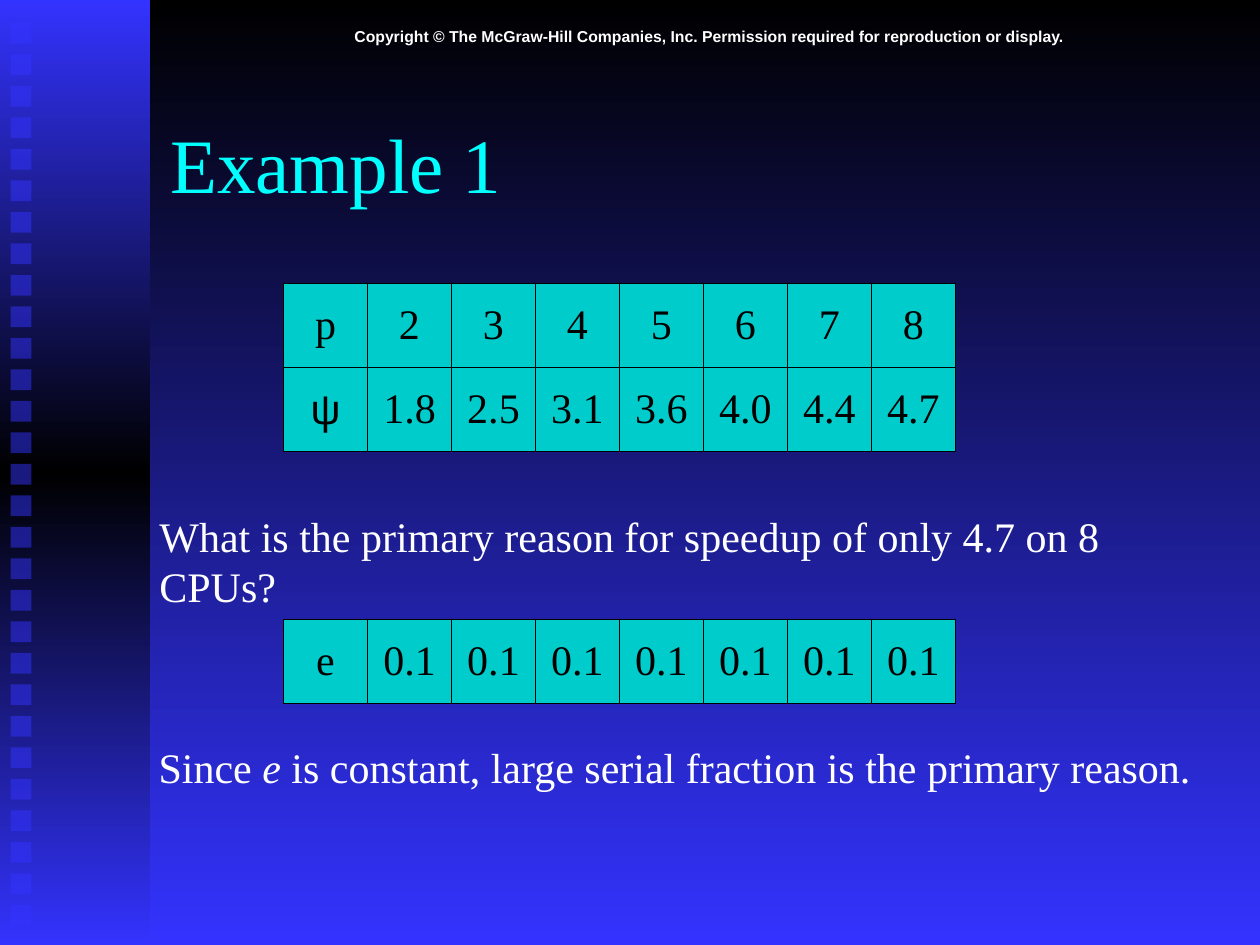
"""Build the "Example 1" slide on speedup and the serial fraction."""
from copy import deepcopy
from dataclasses import dataclass

from lxml.etree import SubElement
from pptx import Presentation
from pptx.dml.color import RGBColor
from pptx.enum.shapes import MSO_SHAPE
from pptx.enum.text import MSO_ANCHOR, MSO_AUTO_SIZE, PP_ALIGN
from pptx.oxml.ns import qn
from pptx.util import Pt


@dataclass(frozen=True)
class Theme:
    black: str = "000000"
    blue: str = "3333FF"
    white: str = "FFFFFF"
    cyan: str = "00FFFF"
    teal: str = "00CCCC"
    serif: str = "Times New Roman"
    sans: str = "Arial"
    title: float = 44
    body: float = 24
    small: float = 9
    border: float = 0.75


@dataclass(frozen=True)
class Run:
    text: str
    italic: bool = False


@dataclass(frozen=True)
class Label:
    left: float
    top: float
    width: float
    height: float
    runs: tuple[Run, ...]
    font: str
    size: float
    bold: bool = False
    align: PP_ALIGN = PP_ALIGN.LEFT
    wrap: bool = False


@dataclass(frozen=True)
class Grid:
    top: float
    rows: tuple[tuple[str, ...], ...]
    left: float = 162
    cell: float = 48


T = Theme()
SQUARES, SQUARE_LEFT, SQUARE_TOP, SQUARE_STEP, SQUARE_SIZE = 29, 6, 13, 18, 12
GRIDS = (
    Grid(162, (("p", "2", "3", "4", "5", "6", "7", "8"),
               ("ψ", "1.8", "2.5", "3.1", "3.6", "4.0", "4.4", "4.7"))),
    Grid(354, (("e",) + ("0.1",) * 7,)),
)
LABELS = (
    Label(90, 12, 630, 18,
          (Run("Copyright © The McGraw-Hill Companies, Inc. Permission required "
               "for reproduction or display."),),
          T.sans, T.small, bold=True, align=PP_ALIGN.CENTER, wrap=True),
    Label(84, 288, 624, 36,
          (Run("What is the primary reason for speedup of only 4.7 on 8 CPUs?"),),
          T.serif, T.body),
    Label(83.5, 420, 605, 36,
          (Run("Since "), Run("e", italic=True),
           Run(" is constant, large serial fraction is the primary reason.")),
          T.serif, T.body),
)


def apply(obj, values: dict) -> None:
    """Set each named attribute on the object."""
    for name, value in values.items():
        setattr(obj, name, value)


def add_run(p, text: str, color: str, **fmt) -> None:
    """Append a formatted run to a paragraph."""
    r = p.add_run()
    r.text = text
    apply(r.font, fmt)
    r.font.color.rgb = RGBColor.from_string(color)


def set_gradient(fill, root, colors: tuple[str, ...]) -> None:
    """Fill with evenly spaced colours running from top to bottom."""
    fill.gradient()
    fill.gradient_angle = 270
    stops = root.find(".//" + qn("a:gsLst"))
    for _ in colors[2:]:
        stops.append(deepcopy(stops[0]))
    for i, (stop, color) in enumerate(zip(fill.gradient_stops, colors)):
        stop.color.rgb = RGBColor.from_string(color)
        stop.position = i / (len(colors) - 1)


def add_rect(s, left: float, top: float, width: float, height: float):
    """Add a rectangle with neither outline nor shadow."""
    sp = s.shapes.add_shape(MSO_SHAPE.RECTANGLE, Pt(left), Pt(top), Pt(width), Pt(height))
    sp.shadow.inherit = False
    sp.line.fill.background()
    return sp


def add_sidebar(s) -> None:
    """Draw the gradient band and its column of translucent squares."""
    band = add_rect(s, 0, 0, 85.7, 540)
    set_gradient(band.fill, band._element, (T.blue, T.black, T.blue))
    for i in range(SQUARES):
        sp = add_rect(s, SQUARE_LEFT, SQUARE_TOP + i * SQUARE_STEP, SQUARE_SIZE, SQUARE_SIZE)
        sp.fill.solid()
        sp.fill.fore_color.rgb = RGBColor.from_string(T.blue)
        color = sp._element.spPr.find(".//" + qn("a:srgbClr"))
        SubElement(color, qn("a:alpha"), val="50000")


def add_label(s, label: Label) -> None:
    """Add a text box."""
    box = s.shapes.add_textbox(Pt(label.left), Pt(label.top), Pt(label.width), Pt(label.height))
    tf = box.text_frame
    apply(tf, {"word_wrap": label.wrap, "auto_size": MSO_AUTO_SIZE.SHAPE_TO_FIT_TEXT})
    p = tf.paragraphs[0]
    p.alignment = label.align
    for run in label.runs:
        add_run(p, run.text, T.white, name=label.font, size=Pt(label.size),
                bold=label.bold, italic=run.italic)


def format_cell(cell, text: str) -> None:
    """Give a cell its borders, fill and centred text."""
    tc_pr = cell._tc.get_or_add_tcPr()
    for side in ("a:lnL", "a:lnR", "a:lnT", "a:lnB"):
        ln = SubElement(tc_pr, qn(side), w=str(Pt(T.border)))
        SubElement(SubElement(ln, qn("a:solidFill")), qn("a:srgbClr"), val=T.black)
    cell.fill.solid()
    cell.fill.fore_color.rgb = RGBColor.from_string(T.teal)
    cell.vertical_anchor = MSO_ANCHOR.MIDDLE
    p = cell.text_frame.paragraphs[0]
    p.alignment = PP_ALIGN.CENTER
    font = T.sans if text == "ψ" else T.serif
    add_run(p, text, T.black, name=font, size=Pt(T.body))


def add_grid(s, grid: Grid) -> None:
    """Add a table of square cells."""
    n_rows, n_cols = len(grid.rows), len(grid.rows[0])
    table = s.shapes.add_table(n_rows, n_cols, Pt(grid.left), Pt(grid.top),
                               Pt(n_cols * grid.cell), Pt(n_rows * grid.cell)).table
    apply(table, {"first_row": False, "horz_banding": False})
    for i, row in enumerate(grid.rows):
        for j, text in enumerate(row):
            format_cell(table.cell(i, j), text)


def add_title(s, text: str) -> None:
    """Place and format the title placeholder."""
    title = s.shapes.title
    apply(title, {"left": Pt(90), "top": Pt(48), "width": Pt(612), "height": Pt(90)})
    tf = title.text_frame
    apply(tf, {"vertical_anchor": MSO_ANCHOR.MIDDLE, "word_wrap": True})
    p = tf.paragraphs[0]
    p.alignment = PP_ALIGN.LEFT
    add_run(p, text, T.cyan, name=T.serif, size=Pt(T.title))


def main() -> None:
    """Build and save the slide."""
    prs = Presentation()
    apply(prs, {"slide_width": Pt(720), "slide_height": Pt(540)})
    s = prs.slides.add_slide(prs.slide_layouts[5])
    set_gradient(s.background.fill, s._element, (T.black, T.blue))
    add_sidebar(s)
    add_title(s, "Example 1")
    for label in LABELS:
        add_label(s, label)
    for grid in GRIDS:
        add_grid(s, grid)
    prs.save("out.pptx")


if __name__ == "__main__":
    main()
